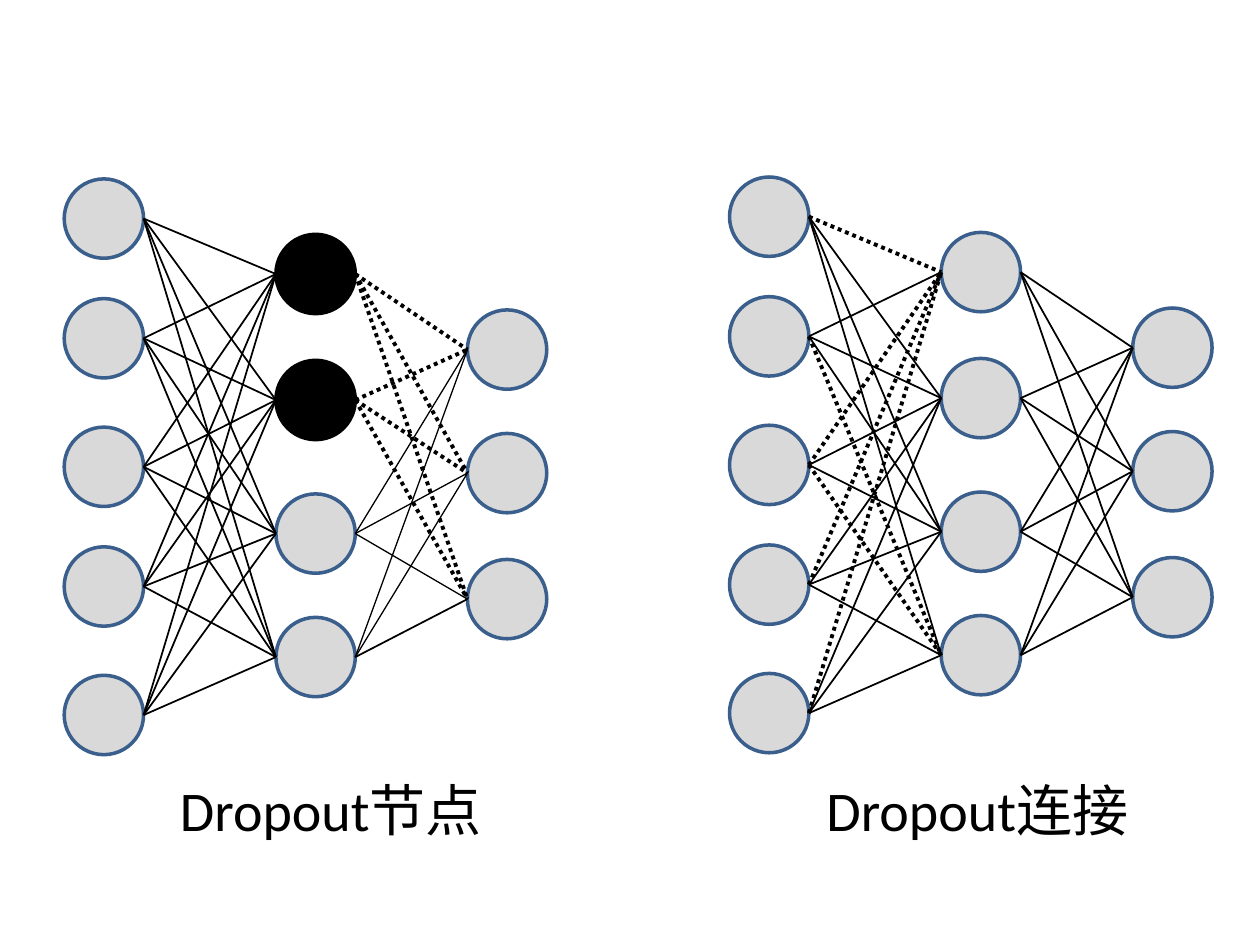
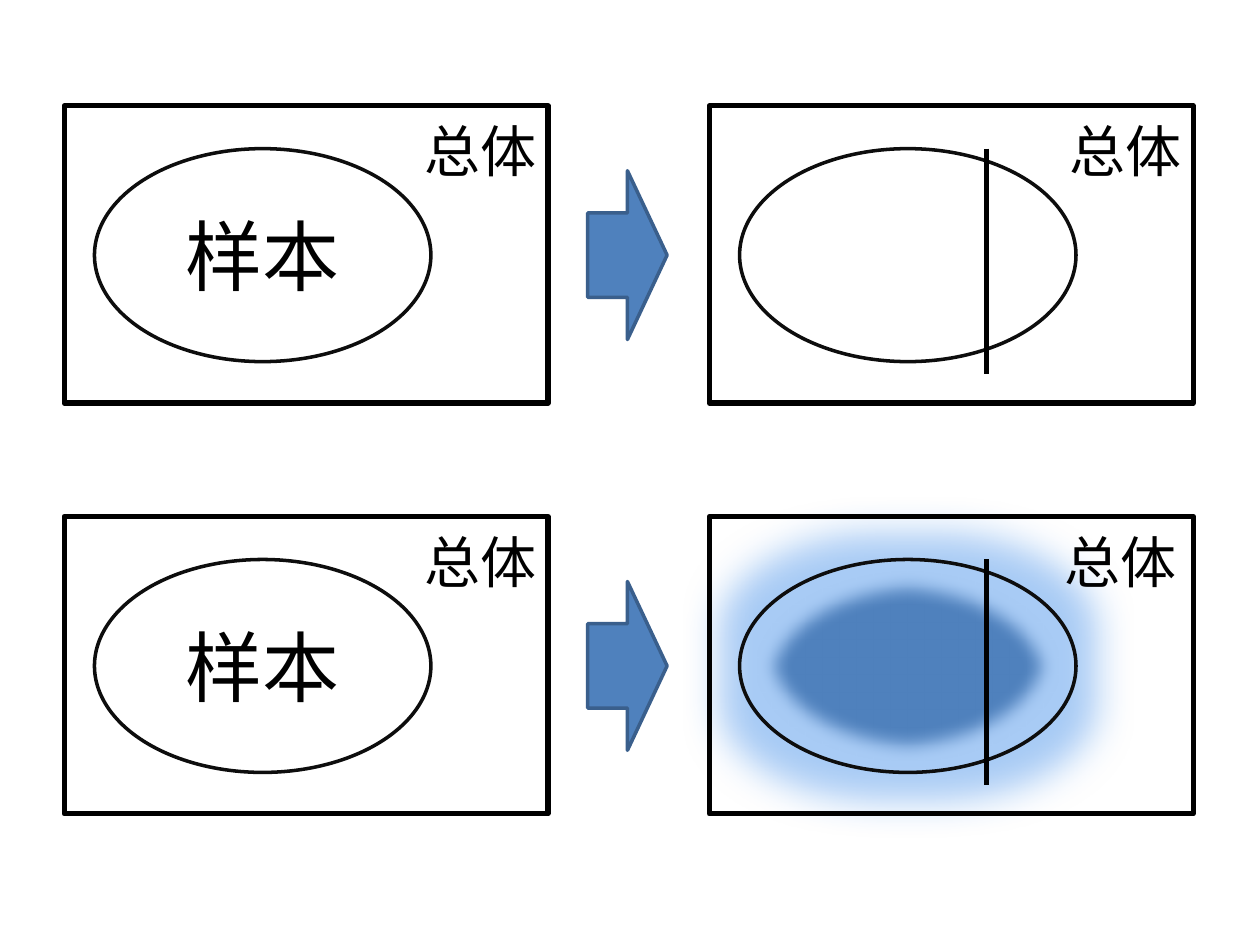
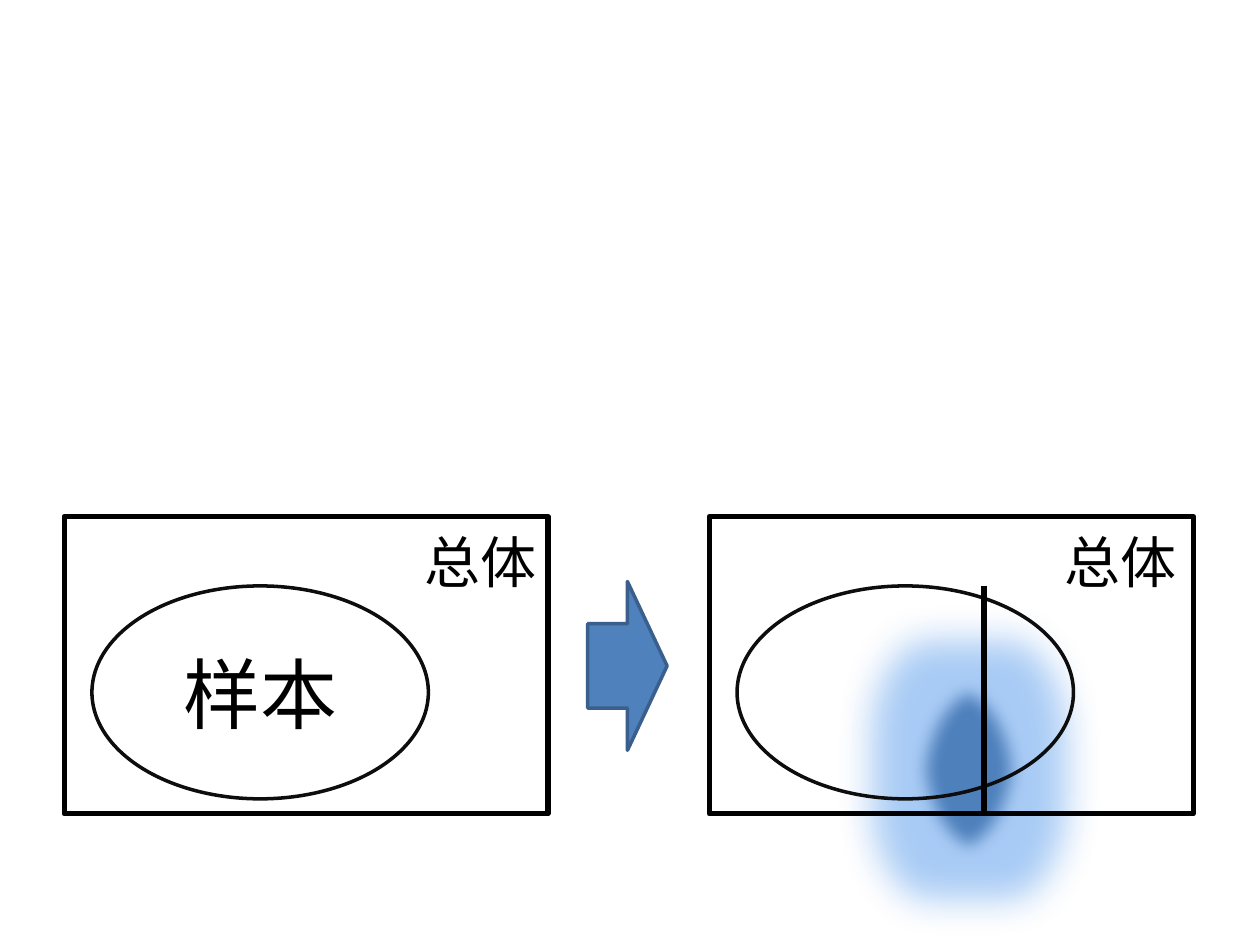
import dataclasses
import itertools

import pptx
import pptx.dml.color
import pptx.enum.dml
import pptx.enum.shapes
import pptx.enum.text
import pptx.oxml
import pptx.oxml.ns
import pptx.util

SHAPE = pptx.enum.shapes.MSO_SHAPE
COLUMNS, ROWS = 100, 75
CELL = pptx.util.Inches(0.1)


@dataclasses.dataclass(frozen=True)
class Theme:
    """Colours, type sizes in points and line widths in points."""
    font: str = "Calibri"
    ink: str = "000000"
    oval_line: str = "0D0D0D"
    node: str = "D9D9D9"
    blue: str = "4F81BD"
    edge: str = "3A5F8C"
    glow: str = "267DE6"
    label: int = 32
    sample: int = 44
    hairline: float = 0.75
    thin: float = 1
    dotted: float = 2.25
    outline: float = 2
    frame: float = 3


THEME = Theme()
NODE_SIZE = 6.3
LAYER_OFFSETS = (0, 16.8, 32)
LAYER_TOPS = (
    (14.2, 23.7, 33.9, 43.4, 53.6),
    (18.6, 28.6, 39.2, 49),
    (24.6, 34.4, 44.4),
)
FRAME_LEFTS = (5.1, 56.3)
BAND_TOPS = (8.4, 41)


def cells(*counts):
    """Turn counts of grid cells into slide lengths."""
    return [round(count * CELL) for count in counts]


def colour(code):
    """Turn a hexadecimal code into a colour."""
    return pptx.dml.color.RGBColor.from_string(code)


def write(shape, text, size):
    """Put one formatted line of text into a shape."""
    shape.text_frame.text = text
    for span in shape.text_frame.paragraphs[0].runs:
        span.font.name = THEME.font
        span.font.size = pptx.util.Pt(size)
        span.font.color.rgb = colour(THEME.ink)


def add_figure(shapes, kind, place, line, width, fill=None):
    """Draw a preset shape with an outline and an optional fill."""
    figure = shapes.add_shape(kind, *cells(*place))
    figure.shadow.inherit = False
    if fill:
        figure.fill.solid()
        figure.fill.fore_color.rgb = colour(fill)
    else:
        figure.fill.background()
    figure.line.color.rgb = colour(line)
    figure.line.width = pptx.util.Pt(width)
    return figure


def add_line(shapes, start, end, width, dotted=False):
    """Draw a straight black line between two grid points."""
    line = shapes.add_connector(
        pptx.enum.shapes.MSO_CONNECTOR.STRAIGHT, *cells(*start, *end))
    line.line.color.rgb = colour(THEME.ink)
    line.line.width = pptx.util.Pt(width)
    if dotted:
        line.line.dash_style = pptx.enum.dml.MSO_LINE.ROUND_DOT
    properties = line._element.spPr
    properties.append(pptx.oxml.parse_xml(
        f'<a:effectLst {pptx.oxml.ns.nsdecls("a")}/>'))


def add_label(page, text, left, top, width):
    """Write a caption in a text box."""
    box = page.shapes.add_textbox(*cells(left, top, width, 6.4))
    box.text_frame.word_wrap = True
    box.text_frame.auto_size = pptx.enum.text.MSO_AUTO_SIZE.SHAPE_TO_FIT_TEXT
    write(box, text, THEME.label)


def add_network(page, left, rise, dropped=(), dotted=(), hairlines=()):
    """Draw three layers of nodes and the links between them."""
    layers = [[(left + offset, top - rise) for top in tops]
              for offset, tops in zip(LAYER_OFFSETS, LAYER_TOPS)]
    for depth, layer in enumerate(layers):
        for index, corner in enumerate(layer):
            off = (depth, index) in dropped
            add_figure(page.shapes, SHAPE.OVAL, (*corner, NODE_SIZE, NODE_SIZE),
                       THEME.ink if off else THEME.edge, THEME.outline,
                       THEME.ink if off else THEME.node)
    half = NODE_SIZE / 2
    for depth, (sources, targets) in enumerate(itertools.pairwise(layers)):
        for (i, source), (j, target) in itertools.product(
                enumerate(sources), enumerate(targets)):
            link = (depth, i, j)
            width = (THEME.dotted if link in dotted else
                     THEME.hairline if link in hairlines else THEME.thin)
            add_line(page.shapes, (source[0] + NODE_SIZE, source[1] + half),
                     (target[0], target[1] + half), width, link in dotted)


def add_cloud(page, place):
    """Draw a blue oval with soft edges and a wide glow."""
    cloud = add_figure(page.shapes, SHAPE.OVAL, place,
                       THEME.edge, THEME.outline, THEME.blue)
    effects = cloud._element.spPr.find(pptx.oxml.ns.qn("a:effectLst"))
    names = pptx.oxml.ns.nsdecls("a")
    effects.append(pptx.oxml.parse_xml(
        f'<a:glow {names} rad="{pptx.util.Pt(44)}"><a:srgbClr val="{THEME.glow}">'
        '<a:alpha val="40000"/></a:srgbClr></a:glow>'))
    effects.append(pptx.oxml.parse_xml(
        f'<a:softEdge {names} rad="{pptx.util.Pt(10)}"/>'))


def add_population(page, left, top, label_shift):
    """Draw the frame of a population and its label."""
    add_figure(page.shapes, SHAPE.RECTANGLE, (left, top, 38.4, 23.6),
               THEME.ink, THEME.frame)
    add_label(page, "总体", left + 27.6 + label_shift, top + 0.35, 19.7)


def add_oval(shapes, left, top):
    """Draw the outline of a sample."""
    return add_figure(shapes, SHAPE.OVAL, (left, top, 26.7, 16.9),
                      THEME.oval_line, THEME.outline)


def add_band(page, top, oval_shift=(2.4, 3.4), label_shift=0):
    """Draw a sample, an arrow and the same sample cut by a line."""
    before, after = FRAME_LEFTS
    across, down = oval_shift
    add_population(page, before, top, 0)
    sample = add_oval(page.shapes, before + across, top + down)
    write(sample, "样本", THEME.sample)
    sample.text_frame.vertical_anchor = pptx.enum.text.MSO_ANCHOR.MIDDLE
    sample.text_frame.paragraphs[0].alignment = pptx.enum.text.PP_ALIGN.CENTER
    arrow = add_figure(page.shapes, SHAPE.DOWN_ARROW, (43.1, top + 8.7, 13.4, 6.3),
                       THEME.edge, THEME.outline, THEME.blue)
    arrow.rotation = 270
    add_population(page, after, top, label_shift)
    group = page.shapes.add_group_shape()
    add_oval(group.shapes, after + across, top + down)
    cut = after + across + 19.6
    add_line(group.shapes, (cut, top + down), (cut, top + down + 17.9), THEME.frame)


def build_dropout(page):
    """Compare dropping nodes with dropping links."""
    dropped_links = set(itertools.product([1], [0, 1], range(3)))
    weak_links = set(itertools.product([1], [2, 3], range(3))) - {(1, 3, 2)}
    add_network(page, 5.1, 0, dropped={(1, 0), (1, 1)},
                dotted=dropped_links, hairlines=weak_links)
    add_label(page, "Dropout节点", 13.3, 61.1, 29.9)
    add_network(page, 57.9, 0.15, dotted={
        (0, 0, 0), (0, 1, 3), (0, 2, 0), (0, 2, 3), (0, 3, 0), (0, 4, 0)})
    add_label(page, "Dropout连接", 64.6, 61.1, 29.9)


def build_samples(page):
    """Show a cut sample without and with a centred cloud."""
    upper, lower = BAND_TOPS
    add_cloud(page, (60, 45.4, 24, 14.9))
    add_band(page, upper)
    add_band(page, lower, label_shift=-0.4)


def build_boundary(page):
    """Show a cut sample with a cloud around the cut."""
    add_cloud(page, (72.2, 53.4, 9.4, 15.2))
    add_band(page, BAND_TOPS[1], oval_shift=(2.2, 5.5), label_shift=-0.4)


def main():
    """Build the deck."""
    deck = pptx.Presentation()
    deck.slide_width, deck.slide_height = cells(COLUMNS, ROWS)
    for build in (build_dropout, build_samples, build_boundary):
        build(deck.slides.add_slide(deck.slide_layouts[6]))
    deck.save("out.pptx")


if __name__ == "__main__":
    main()
